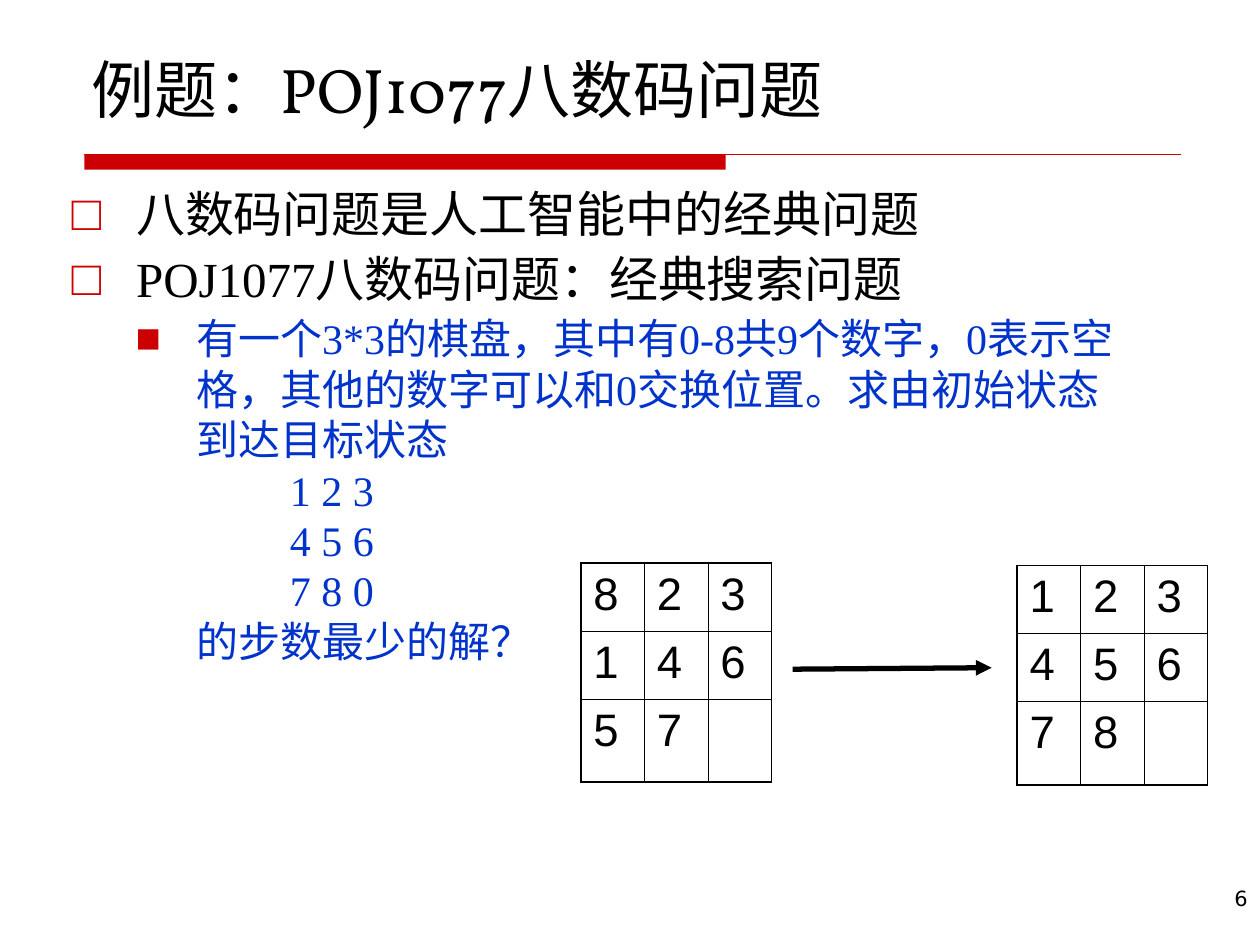
from dataclasses import dataclass

from lxml.etree import SubElement
from pptx import Presentation
from pptx.dml.color import RGBColor
from pptx.enum.shapes import MSO_CONNECTOR, MSO_SHAPE
from pptx.enum.text import MSO_ANCHOR, MSO_AUTO_SIZE, PP_ALIGN
from pptx.oxml.ns import qn
from pptx.util import Cm, Pt


@dataclass(frozen=True)
class Theme:
    ink: str = "000000"
    accent: str = "CC0000"
    detail: str = "0033CC"
    title_font: str = "Vollkorn"
    body_font: str = "Times New Roman"
    tile_font: str = "Arial"
    number_font: str = "DejaVu Sans"
    title_size: float = 36
    point_size: float = 28
    detail_size: float = 24
    tile_size: float = 26
    number_size: float = 12
    outer_border: float = 1.08
    inner_border: float = 0.45


THEME = Theme()

POINTS = ["八数码问题是人工智能中的经典问题", "POJ1077八数码问题：经典搜索问题"]
TASK = "有一个3*3的棋盘，其中有0-8共9个数字，0表示空格，其他的数字可以和0交换位置。求由初始状态\v到达目标状态"
GOAL = "1 2 3\v4 5 6\v7 8 0"
QUESTION = "的步数最少的解？"
START_BOARD = ["823", "146", "57 "]
GOAL_BOARD = ["123", "456", "78 "]


def style(paragraph, font, size, color):
    for run in paragraph.runs:
        run.font.name = font
        run.font.size = Pt(size)
        run.font.bold = False
        run.font.color.rgb = RGBColor.from_string(color)


def place(shape, left, top, width, height):
    shape.left, shape.top = Cm(left), Cm(top)
    shape.width, shape.height = Cm(width), Cm(height)


def add_line(slide, start, end, color, weight):
    line = slide.shapes.add_connector(
        MSO_CONNECTOR.STRAIGHT, *(Cm(value) for value in (*start, *end)))
    line.line.color.rgb = RGBColor.from_string(color)
    line.line.width = Pt(weight)
    SubElement(line._element.spPr, qn("a:effectLst"))
    return line


def set_list_item(paragraph, text, size, color, margin, hanging=0, bullet=None, before=0):
    paragraph.text = text
    paragraph.alignment = PP_ALIGN.LEFT
    paragraph.space_before = Pt(before)
    properties = paragraph._p.get_or_add_pPr()
    properties.set("marL", str(Cm(margin)))
    properties.set("indent", str(-Cm(hanging)))
    if bullet:
        bullet_color = SubElement(properties, qn("a:buClr"))
        SubElement(bullet_color, qn("a:srgbClr"), val=THEME.accent)
        SubElement(properties, qn("a:buChar"), char=bullet)
    else:
        SubElement(properties, qn("a:buNone"))
    style(paragraph, THEME.body_font, size, color)


def add_title(slide, left, top, width, height):
    title = slide.shapes.title
    place(title, left, top, width, height)
    frame = title.text_frame
    frame.text = "例题：POJ1077八数码问题"
    frame.vertical_anchor = MSO_ANCHOR.MIDDLE
    frame.auto_size = MSO_AUTO_SIZE.NONE
    frame.paragraphs[0].alignment = PP_ALIGN.LEFT
    style(frame.paragraphs[0], THEME.title_font, THEME.title_size, THEME.ink)


def add_title_rule(slide, left, top, width, height):
    bar = slide.shapes.add_shape(
        MSO_SHAPE.RECTANGLE, Cm(left), Cm(top), Cm(width * 0.585), Cm(height))
    bar.shadow.inherit = False
    bar.fill.solid()
    bar.fill.fore_color.rgb = RGBColor.from_string(THEME.accent)
    bar.line.fill.background()
    add_line(slide, (left, top), (left + width, top), THEME.accent, 0.75)


def add_problem(slide, left, top, width, height):
    problem = slide.placeholders[1]
    place(problem, left, top, width, height)
    frame = problem.text_frame
    frame.auto_size = MSO_AUTO_SIZE.NONE
    for index, point in enumerate(POINTS):
        paragraph = frame.add_paragraph() if index else frame.paragraphs[0]
        set_list_item(paragraph, point, THEME.point_size, THEME.ink,
                      1.3, 1.3, "□", 3.5 if index else 0)

    task, goal, question = (frame.add_paragraph() for _ in range(3))
    for paragraph in (task, goal, question):
        paragraph.level = 1
    detail = THEME.detail_size, THEME.detail
    set_list_item(task, TASK, *detail, 2.51, 1.22, "■", 3)
    set_list_item(goal, GOAL, *detail, 4.4)
    goal.line_spacing = Pt(THEME.detail_size * 1.2)
    set_list_item(question, QUESTION, *detail, 2.51)


def set_borders(cell, row, column, last):
    properties = cell._tc.get_or_add_tcPr()
    sides = {"a:lnL": column == 0, "a:lnR": column == last,
             "a:lnT": row == 0, "a:lnB": row == last}
    for position, (side, outer) in enumerate(sides.items()):
        weight = THEME.outer_border if outer else THEME.inner_border
        border = SubElement(properties, qn(side), w=str(Pt(weight)))
        fill = SubElement(border, qn("a:solidFill"))
        SubElement(fill, qn("a:srgbClr"), val=THEME.ink)
        properties.insert(position, border)


def add_board(slide, tiles, left, top, tile_width=1.28, row_heights=(1.37, 1.37, 1.68)):
    size = len(tiles)
    board = slide.shapes.add_table(
        size, size, Cm(left), Cm(top), Cm(tile_width * size), Cm(sum(row_heights))).table
    board.first_row = board.horz_banding = False
    for column in board.columns:
        column.width = Cm(tile_width)
    for row, digits in enumerate(tiles):
        board.rows[row].height = Cm(row_heights[row])
        for column, digit in enumerate(digits):
            cell = board.cell(row, column)
            cell.fill.background()
            cell.text_frame.text = digit.strip()
            style(cell.text_frame.paragraphs[0], THEME.tile_font, THEME.tile_size, THEME.ink)
            set_borders(cell, row, column, size - 1)


def add_boards(slide, left, top):
    add_board(slide, START_BOARD, left, top)
    add_board(slide, GOAL_BOARD, left + 8.79, top + 0.05)
    arrow = add_line(slide, (left + 4.27, top + 2.14), (left + 8.28, top + 2.11), THEME.ink, 3)
    SubElement(arrow.line._get_or_add_ln(), qn("a:tailEnd"), type="triangle")


def add_slide_number(slide, left, top, width, height):
    number = slide.shapes.add_textbox(Cm(left), Cm(top), Cm(width), Cm(height))
    frame = number.text_frame
    frame.word_wrap = True
    frame.text = "6"
    frame.paragraphs[0].alignment = PP_ALIGN.RIGHT
    style(frame.paragraphs[0], THEME.number_font, THEME.number_size, THEME.ink)


def main():
    presentation = Presentation()
    presentation.slide_width, presentation.slide_height = Cm(25.4), Cm(19.05)
    slide = presentation.slides.add_slide(presentation.slide_layouts[1])
    add_title_rule(slide, 1.7, 3.12, 22.1, 0.3)
    add_title(slide, 1.6, 0.84, 22.23, 1.88)
    add_problem(slide, 1.19, 3.58, 22.23, 14)
    add_boards(slide, 11.71, 11.35)
    add_slide_number(slide, 19.96, 17.73, 5.44, 1.32)
    presentation.save("out.pptx")


if __name__ == "__main__":
    main()
